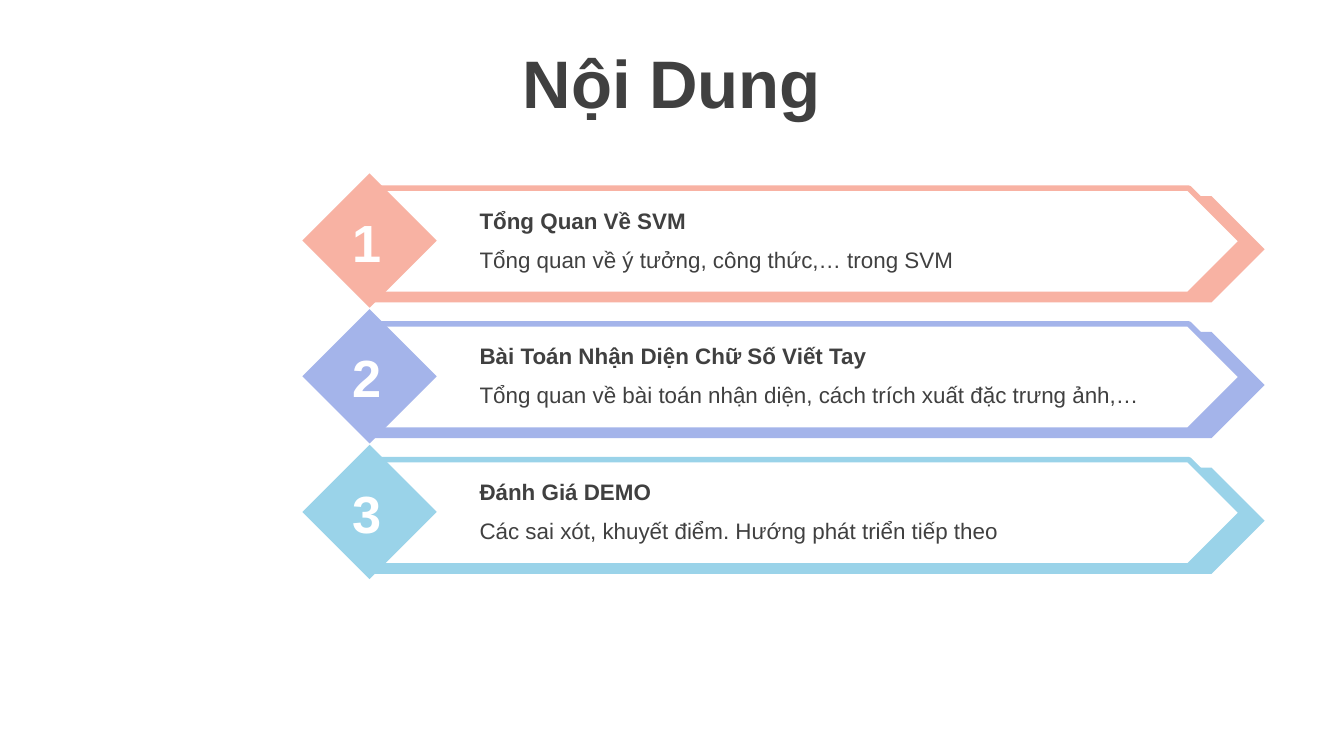
"""Build the agenda slide with three numbered arrow banners."""

from dataclasses import dataclass

from pptx import Presentation
from pptx.dml.color import RGBColor
from pptx.enum.shapes import MSO_SHAPE
from pptx.enum.text import MSO_ANCHOR, MSO_AUTO_SIZE, PP_ALIGN
from pptx.shapes.autoshape import Shape
from pptx.shapes.shapetree import GroupShapes, SlideShapes
from pptx.util import Inches, Pt


@dataclass(frozen=True)
class Theme:
    font: str = "Arial"
    ink: str = "404040"
    paper: str = "FFFFFF"
    title_size: int = 36
    number_size: int = 28
    caption_size: int = 12
    outline: int = 3


@dataclass(frozen=True)
class Box:
    left: float
    top: float
    width: float
    height: float

    def lengths(self) -> tuple[int, int, int, int]:
        return (Inches(self.left), Inches(self.top),
                Inches(self.width), Inches(self.height))


@dataclass(frozen=True)
class Topic:
    heading: str
    summary: str
    color: str


THEME = Theme()
SLIDE_WIDTH = 10
SLIDE_HEIGHT = SLIDE_WIDTH * 9 / 16
FIRST_TOP = 1.29
TOPIC_STEP = 1.01
TOPICS = (
    Topic("Tổng Quan Về SVM",
          "Tổng quan về ý tưởng, công thức,… trong SVM", "F8B2A3"),
    Topic("Bài Toán Nhận Diện Chữ Số Viết Tay",
          "Tổng quan về bài toán nhận diện, cách trích xuất đặc trưng ảnh,…",
          "A4B4EA"),
    Topic("Đánh Giá DEMO",
          "Các sai xót, khuyết điểm. Hướng phát triển tiếp theo", "9AD3E9"),
)


def write(holder: Shape, text: str, *, size: int, color: str = THEME.ink,
          bold: bool = False, align: PP_ALIGN = PP_ALIGN.LEFT,
          anchor: MSO_ANCHOR = MSO_ANCHOR.TOP,
          fit: MSO_AUTO_SIZE = MSO_AUTO_SIZE.SHAPE_TO_FIT_TEXT) -> None:
    """Put one formatted line of text into a shape."""
    frame = holder.text_frame
    frame.word_wrap = True
    frame.auto_size = fit
    frame.vertical_anchor = anchor
    paragraph = frame.paragraphs[0]
    paragraph.alignment = align
    run = paragraph.add_run()
    run.text = text
    run.font.name = THEME.font
    run.font.size = Pt(size)
    run.font.bold = bold
    run.font.color.rgb = RGBColor.from_string(color)


def draw_shape(shapes: GroupShapes, kind: MSO_SHAPE, box: Box, fill: str,
               outline: str | None = None) -> None:
    """Draw a flat preset shape with an optional outline."""
    figure = shapes.add_shape(kind, *box.lengths())
    figure.shadow.inherit = False
    figure.fill.solid()
    figure.fill.fore_color.rgb = RGBColor.from_string(fill)
    if outline is None:
        figure.line.fill.background()
    else:
        figure.line.color.rgb = RGBColor.from_string(outline)
        figure.line.width = Pt(THEME.outline)


def draw_topic(shapes: SlideShapes, number: int, topic: Topic, top: float) -> None:
    """Draw one banner with its number, heading and summary."""
    banner = shapes.add_group_shape().shapes
    draw_shape(banner, MSO_SHAPE.PENTAGON, Box(2.77, top + 0.17, 6.64, 0.79), topic.color)
    draw_shape(banner, MSO_SHAPE.PENTAGON, Box(2.77, top + 0.11, 6.47, 0.79),
               THEME.paper, topic.color)
    draw_shape(banner, MSO_SHAPE.DIAMOND, Box(2.25, top, 1, 1), topic.color)

    numeral = shapes.add_textbox(*Box(2.51, top + 0.22, 0.44, 0.57).lengths())
    write(numeral, str(number), size=THEME.number_size, color=THEME.paper, bold=True,
          align=PP_ALIGN.CENTER, anchor=MSO_ANCHOR.MIDDLE)

    captions = shapes.add_group_shape().shapes
    heading = captions.add_textbox(*Box(3.47, top + 0.2, 5.2, 0.3).lengths())
    write(heading, topic.heading, size=THEME.caption_size, bold=True)
    summary = captions.add_textbox(*Box(3.47, top + 0.49, 5.2, 0.3).lengths())
    write(summary, topic.summary, size=THEME.caption_size)


def main() -> None:
    """Create and save the presentation."""
    deck = Presentation()
    deck.slide_width, deck.slide_height = Inches(SLIDE_WIDTH), Inches(SLIDE_HEIGHT)
    slide = deck.slides.add_slide(deck.slide_layouts.get_by_name("Title Only"))

    title = slide.shapes.title
    title.left, title.top, title.width, title.height = Box(
        0, 0.29, SLIDE_WIDTH, 0.63).lengths()
    write(title, "Nội Dung", size=THEME.title_size, bold=True, align=PP_ALIGN.CENTER,
          anchor=MSO_ANCHOR.MIDDLE, fit=MSO_AUTO_SIZE.NONE)

    for index, topic in enumerate(TOPICS):
        draw_topic(slide.shapes, index + 1, topic, FIRST_TOP + index * TOPIC_STEP)
    deck.save("out.pptx")


if __name__ == "__main__":
    main()
